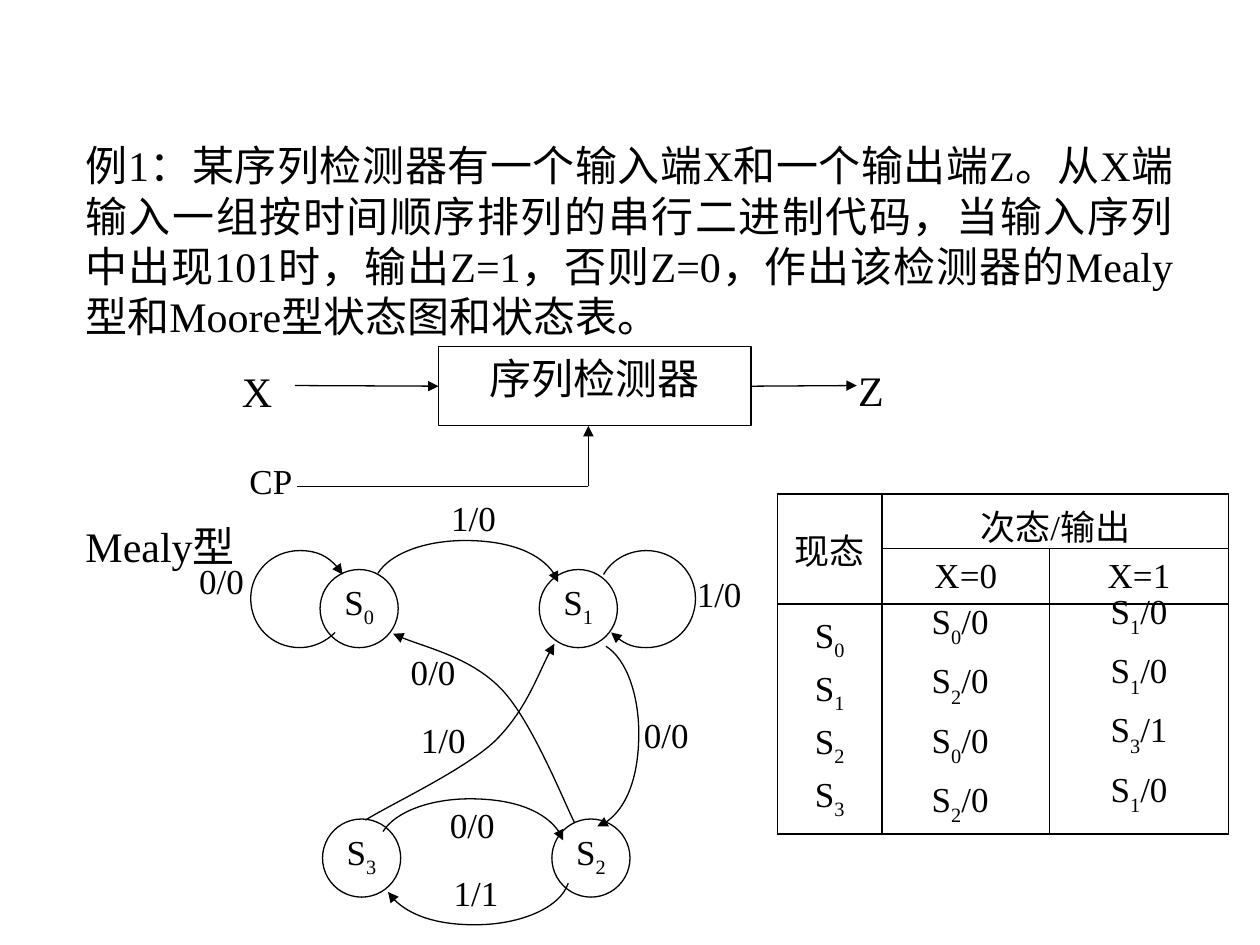
from lxml import etree
from pptx import Presentation
from pptx import util as u
from pptx.dml.color import RGBColor
from pptx.enum import shapes, text
from pptx.oxml import parse_xml
from pptx.oxml.ns import nsdecls, qn

COLORS = {"ink": "000000", "paper": "FFFFFF"}
FONT = "Times New Roman"
JUSTIFY, CENTER, LEFT = text.PP_ALIGN.JUSTIFY, text.PP_ALIGN.CENTER, text.PP_ALIGN.LEFT
MIDDLE = text.MSO_ANCHOR.MIDDLE

prs = Presentation()
prs.slide_width, prs.slide_height = u.Inches(10), u.Inches(7.5)
COL, ROW = prs.slide_width / 10, prs.slide_height / 7.5  # grid of square cells


def rgb(name):
    return RGBColor.from_string(COLORS[name])


def place(box, x, y, w=0, h=0):
    """Turn columns and rows counted from a box's corner into slide lengths."""
    return (round((box[0] + x) * COL), round((box[1] + y) * ROW),
            round(w * COL), round(h * ROW))


def write(tf, lines, size=20, align=CENTER, inset=True, anchor=None,
          leading=None, gap=0, drop=-25):
    """Fill a text frame; an underscore makes the next letter a subscript."""
    tf.word_wrap = True
    if not inset:
        tf.margin_left = tf.margin_right = tf.margin_top = tf.margin_bottom = 0
    if anchor is not None:
        tf.vertical_anchor = anchor
    for i, line in enumerate(lines):
        p = tf.paragraphs[0] if i == 0 else tf.add_paragraph()
        p.alignment = align
        if leading:
            p.line_spacing = leading
        if i and gap:
            p.space_before = u.Pt(gap)
        p.font.name, p.font.size = FONT, u.Pt(size)
        p.font.color.rgb = rgb("ink")
        first, *rest = line.split("_")
        p.add_run().text = first
        for part in rest:
            r = p.add_run()
            r.text = part[0]
            r._r.get_or_add_rPr().set("baseline", str(drop * 1000))
            if part[1:]:
                p.add_run().text = part[1:]


def add_text(s, box, area, lines, **style):
    write(s.shapes.add_textbox(*place(box, *area)).text_frame, lines, **style)


def add_label(s, box, x, y, label, size=20):
    add_text(s, box, (x, y, 0.38, 0.36), [label], size=size, align=JUSTIFY, inset=False)


def ink_line(sp, arrow=None):
    """Thin black line; arrow is headEnd or tailEnd."""
    sp.line.color.rgb = rgb("ink")
    sp.line.width = u.Pt(0.75)
    if arrow:
        end = etree.SubElement(sp.line._get_or_add_ln(), qn("a:" + arrow))
        end.set("type", "triangle")


def add_node(s, kind, box, area, label, **style):
    sp = s.shapes.add_shape(kind, *place(box, *area))
    sp.shadow.inherit = False
    sp.fill.solid()
    sp.fill.fore_color.rgb = rgb("paper")
    ink_line(sp)
    write(sp.text_frame, [label], anchor=text.MSO_ANCHOR.TOP, **style)
    return sp


def add_line(s, box, start, end, arrow="tailEnd"):
    c = s.shapes.add_connector(shapes.MSO_CONNECTOR.STRAIGHT,
                               *place(box, *start)[:2], *place(box, *end)[:2])
    ink_line(c, arrow)
    etree.SubElement(c._element.spPr, qn("a:effectLst"))
    return c


def add_curve(s, box, points, arrow):
    """Open Bezier curve: a start point, then triples of control points."""
    pts = [place(box, *pt)[:2] for pt in points]
    fb = s.shapes.build_freeform(*pts[0])
    fb.add_line_segments(pts[1:], close=False)
    sp = fb.convert_to_shape()
    sp.shadow.inherit = False
    sp.fill.background()
    ink_line(sp, arrow)
    path = sp._element.find(".//" + qn("a:path"))
    segments = path.findall(qn("a:lnTo"))
    for i in range(0, len(segments), 3):
        bezier = etree.SubElement(path, qn("a:cubicBezTo"))
        for seg in segments[i:i + 3]:
            bezier.append(seg[0])
            path.remove(seg)


def block_diagram(s, box):
    block = add_node(s, shapes.MSO_SHAPE.RECTANGLE, box, (1.56, 0, 2.48, 0.63),
                     "序列检测器", size=24)
    add_line(s, box, (0.42, 0.31), (1.56, 0.31)).end_connect(block, 1)
    add_line(s, box, (4.04, 0.31), (4.88, 0.31)).begin_connect(block, 3)
    add_line(s, box, (2.75, 1.11), (2.75, 0.63))
    add_line(s, box, (2.75, 1.11), (0.44, 1.11), None)
    for x, y, label, size in ((0, 0.15, "X", 24), (0.06, 0.9, "CP", 20),
                              (4.89, 0.14, "Z", 24)):
        add_label(s, box, x, y, label, size)


def state_diagram(s, box):
    # States
    for x, y, label in ((0.96, 0.58, "S_0"), (2.8, 2.56, "S_2"),
                        (0.98, 2.56, "S_3"), (2.7, 0.58, "S_1")):
        add_node(s, shapes.MSO_SHAPE.OVAL, box, (x, y, 0.62, 0.62), label, inset=False)

    # Self loops, mirrored
    loop = [(0, 0), (-0.07, -0.12), (-0.2, -0.19), (-0.34, -0.19), (-0.56, -0.19),
            (-0.73, -0.02), (-0.73, 0.19), (-0.73, 0.41), (-0.56, 0.58),
            (-0.34, 0.58), (-0.23, 0.58), (-0.13, 0.53), (-0.06, 0.46)]
    for x, side, arrow in ((1.14, 1, "headEnd"), (3.21, -1, "tailEnd")):
        add_curve(s, box, [(x + side * dx, 0.62 + dy) for dx, dy in loop], arrow)

    # Arcs between neighbours: one outline, moved, flipped or turned
    arc = [(0, 0), (-0.06, -0.19), (-0.37, -0.33), (-0.74, -0.33),
           (-1.05, -0.33), (-1.33, -0.23), (-1.43, -0.07)]
    flipped = [(dx, -dy) for dx, dy in arc]
    turned = [(-dy, dx) for dx, dy in arc]
    for x, y, outline, arrow in ((2.85, 0.68, arc, "headEnd"), (2.93, 3.07, flipped, "tailEnd"),
                                 (3.16, 2.62, turned, "headEnd"), (2.89, 2.73, arc, "headEnd")):
        add_curve(s, box, [(x + dx, y + dy) for dx, dy in outline], arrow)

    # Crossing transitions S3 to S1 and S2 to S0
    add_curve(s, box, [(1.32, 2.57), (1.49, 2.46), (2.09, 2.18), (2.34, 1.95),
                       (2.59, 1.71), (2.72, 1.33), (2.82, 1.17)], "tailEnd")
    add_curve(s, box, [(2.98, 2.59), (2.89, 2.41), (2.64, 1.78), (2.4, 1.53),
                       (2.16, 1.28), (1.72, 1.18), (1.54, 1.09)], "tailEnd")

    # Input/output labels
    for x, y, label in ((2, 0, "1/0"), (0, 0.5, "0/0"), (3.95, 0.6, "1/0"),
                        (2.02, 2.98, "1/1"), (3.53, 1.72, "0/0"), (1.68, 1.22, "0/0"),
                        (1.99, 2.44, "0/0"), (1.76, 1.76, "1/0")):
        add_label(s, box, x, y, label)


def state_table(s, box):
    widths, heights = (0.83, 1.33, 1.42), (0.43, 0.44, 1.78)
    table = s.shapes.add_table(3, 3, *place(box, 0, 0, sum(widths), sum(heights))).table
    table.first_row = table.horz_banding = False
    for column, w in zip(table.columns, widths):
        column.width = round(w * COL)
    for row, h in zip(table.rows, heights):
        row.height = round(h * ROW)
    table.cell(0, 0).merge(table.cell(1, 0))
    table.cell(0, 1).merge(table.cell(0, 2))
    contents = {(0, 0): ["现态"], (0, 1): ["次态/输出"], (1, 1): ["X=0"], (1, 2): ["X=1"],
                (2, 0): ["S_0", "S_1", "S_2", "S_3"]}
    for (i, j), lines in contents.items():
        cell = table.cell(i, j)
        write(cell.text_frame, lines, gap=5)
        cell.vertical_anchor = MIDDLE
    for cell in table.iter_cells():
        tcPr = cell._tc.get_or_add_tcPr()
        for side in ("lnL", "lnR", "lnT", "lnB"):
            tcPr.append(parse_xml(
                f'<a:{side} {nsdecls("a")} w="12700"><a:solidFill>'
                f'<a:srgbClr val="{COLORS["ink"]}"/></a:solidFill></a:{side}>'))
        cell.fill.background()

    # Next state and output for each input
    for x, y, lines in ((0.91, 0.91, ["S_0/0", "S_2/0", "S_0/0", "S_2/0"]),
                        (2.33, 0.83, ["S_1/0", "S_1/0", "S_3/1", "S_1/0"])):
        add_text(s, box, (x, y, 1.08, 1.58), lines, anchor=MIDDLE, leading=1.2, drop=-30)


def main():
    s = prs.slides.add_slide(prs.slide_layouts[6])
    page = (0, 0)
    add_text(s, page, (0.58, 1.06, 8.83, 1.7),
             ["例1：某序列检测器有一个输入端X和一个输出端Z。从X端输入一组按时间顺序排列的"
              "串行二进制代码，当输入序列中出现101时，输出Z=1，否则Z=0，作出该检测器的"
              "Mealy型和Moore型状态图和状态表。"], size=24, align=JUSTIFY)
    block_diagram(s, (1.92, 2.75))
    add_text(s, page, (0.58, 4.08, 1.75, 0.5), ["Mealy型"], size=24, align=LEFT)
    state_diagram(s, (1.58, 3.94))
    state_table(s, (6.17, 3.92))
    prs.save("out.pptx")


if __name__ == "__main__":
    main()
